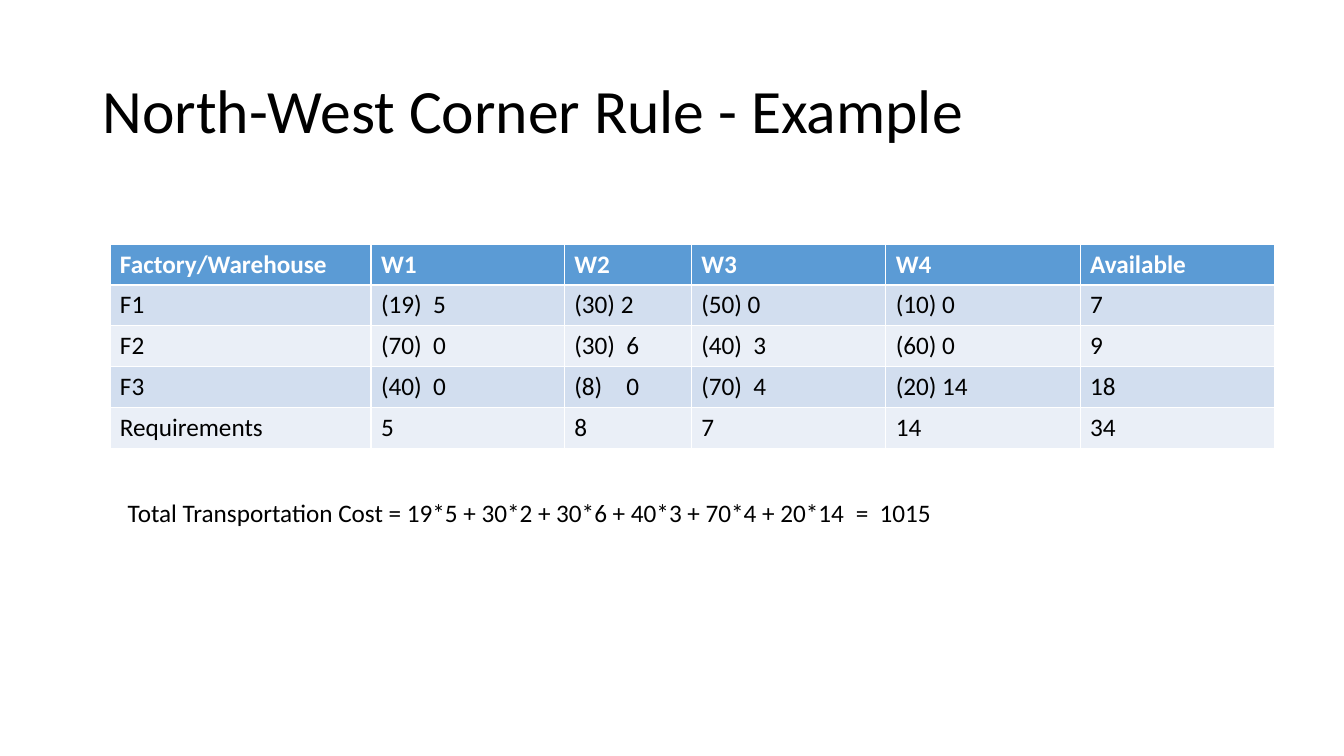
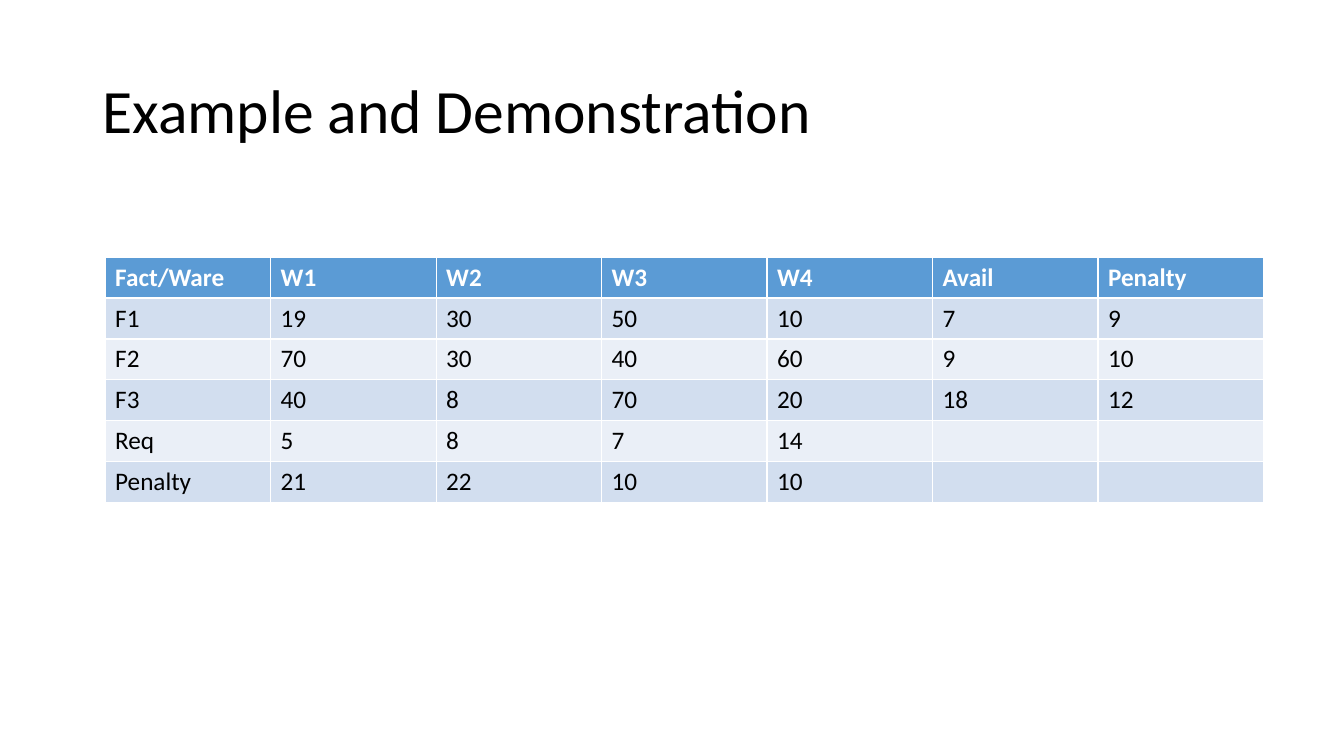
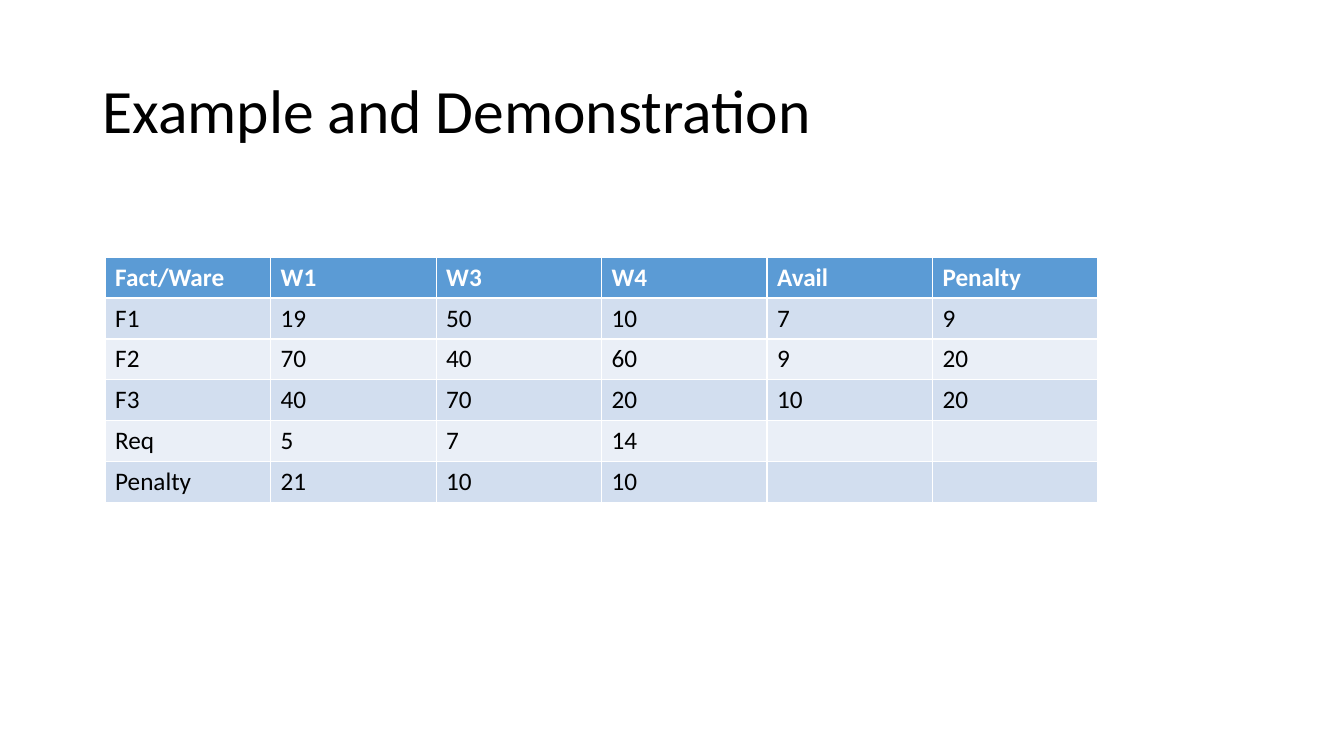
from dataclasses import dataclass

from pptx import Presentation, util as u
from pptx.dml.color import RGBColor
from pptx.enum import text as t
from pptx.oxml import parse_xml
from pptx.oxml.ns import nsdecls


@dataclass(frozen=True)
class Theme:
    font: str = "Calibri"
    title_size: int = 44
    body_size: int = 18
    ink: str = "000000"
    header_ink: str = "FFFFFF"
    header_fill: str = "5B9BD5"
    bands: tuple = ("D2DEEF", "EAEFF7")


THEME = Theme()

# Lengths in centimetres
SLIDE_SIZE = (33.87, 19.05)
TITLE_BOX = (2.33, 1.01, 29.21, 3.68)
COST_BOX = (2.97, 12.4, 27.4, 1.03)
ROW_HEIGHT = 1.03
PENALTY_COLUMN = 4.17
ALLOCATION_TAB = 1.31
RESULT_TABS = (18.35, 18.95)

# Content
SLIDES = [
    {
        "title": "North-West Corner Rule - Example",
        "at": (2.77, 6.15),
        "columns": (6.58, 4.87, 3.2, 4.9, 4.9, 4.9),
        "rows": [
            ("Factory/Warehouse", "W1", "W2", "W3", "W4", "Available"),
            ("F1", "(19)\t5", "(30) 2", "(50) 0", "(10) 0", "7"),
            ("F2", "(70)\t0", "(30)\t6", "(40)\t3", "(60) 0", "9"),
            ("F3", "(40)\t0", "(8)\t0", "(70)\t4", "(20) 14", "18"),
            ("Requirements", "5", "8", "7", "14", "34"),
        ],
        "cost": "Total Transportation Cost = 19*5 + 30*2 + 30*6 + 40*3"
                " + 70*4 + 20*14\t=\t1015",
    },
    {
        "title": "Example and Demonstration",
        "at": (2.65, 6.48),
        "columns": (PENALTY_COLUMN,) * 7,
        "rows": [
            ("Fact/Ware", "W1", "W2", "W3", "W4", "Avail", "Penalty"),
            ("F1", "19", "30", "50", "10", "7", "9"),
            ("F2", "70", "30", "40", "60", "9", "10"),
            ("F3", "40", "8", "70", "20", "18", "12"),
            ("Req", "5", "8", "7", "14", "", ""),
            ("Penalty", "21", "22", "10", "10", "", ""),
        ],
    },
    {
        "title": "Example and Demonstration",
        "at": (2.65, 6.48),
        "columns": (PENALTY_COLUMN,) * 6,
        "rows": [
            ("Fact/Ware", "W1", "W3", "W4", "Avail", "Penalty"),
            ("F1", "19", "50", "10", "7", "9"),
            ("F2", "70", "40", "60", "9", "20"),
            ("F3", "40", "70", "20", "10", "20"),
            ("Req", "5", "7", "14", "", ""),
            ("Penalty", "21", "10", "10", "", ""),
        ],
    },
]


def write(frame, words, size=THEME.body_size, color=THEME.ink, bold=False, tabs=()):
    """Put one formatted paragraph in a text frame."""
    para = frame.paragraphs[0]
    para.text = words
    para.alignment = t.PP_ALIGN.LEFT
    if "\t" in words:
        stops = "".join(f'<a:tab pos="{u.Cm(stop)}" algn="l"/>' for stop in tabs)
        para._p.get_or_add_pPr().append(
            parse_xml(f'<a:tabLst {nsdecls("a")}>{stops}</a:tabLst>'))
    font = para.font
    font.name, font.size, font.bold = THEME.font, u.Pt(size), bold
    font.color.rgb = RGBColor.from_string(color)
    return para


def add_title(page, words):
    frame = page.shapes.title.text_frame
    frame.auto_size = t.MSO_AUTO_SIZE.NONE
    frame.vertical_anchor = t.MSO_ANCHOR.MIDDLE
    write(frame, words, THEME.title_size).line_spacing = 0.9


def add_grid(page, at, columns, rows):
    left, top = map(u.Cm, at)
    table = page.shapes.add_table(
        len(rows), len(columns), left, top,
        u.Cm(sum(columns)), u.Cm(ROW_HEIGHT * len(rows))).table
    for column, width in zip(table.columns, columns):
        column.width = u.Cm(width)
    for r, values in enumerate(rows):
        table.rows[r].height = u.Cm(ROW_HEIGHT)
        header = r == 0
        fill = THEME.header_fill if header else THEME.bands[(r - 1) % 2]
        ink = THEME.header_ink if header else THEME.ink
        for c, words in enumerate(values):
            cell = table.cell(r, c)
            cell.fill.solid()
            cell.fill.fore_color.rgb = RGBColor.from_string(fill)
            write(cell.text_frame, words, color=ink, bold=header,
                  tabs=(ALLOCATION_TAB,))


def add_cost(page, words):
    frame = page.shapes.add_textbox(*map(u.Cm, COST_BOX)).text_frame
    frame.word_wrap = True
    frame.auto_size = t.MSO_AUTO_SIZE.SHAPE_TO_FIT_TEXT
    write(frame, words, tabs=RESULT_TABS)


def main():
    deck = Presentation()
    deck.slide_width, deck.slide_height = map(u.Cm, SLIDE_SIZE)

    # Shared title position
    layout = deck.slide_layouts.get_by_name("Title Only")
    title = layout.placeholders[0]
    title.left, title.top, title.width, title.height = map(u.Cm, TITLE_BOX)

    for content in SLIDES:
        page = deck.slides.add_slide(layout)
        add_title(page, content["title"])
        if "cost" in content:
            add_cost(page, content["cost"])
        add_grid(page, content["at"], content["columns"], content["rows"])

    deck.save("out.pptx")


if __name__ == "__main__":
    main()
